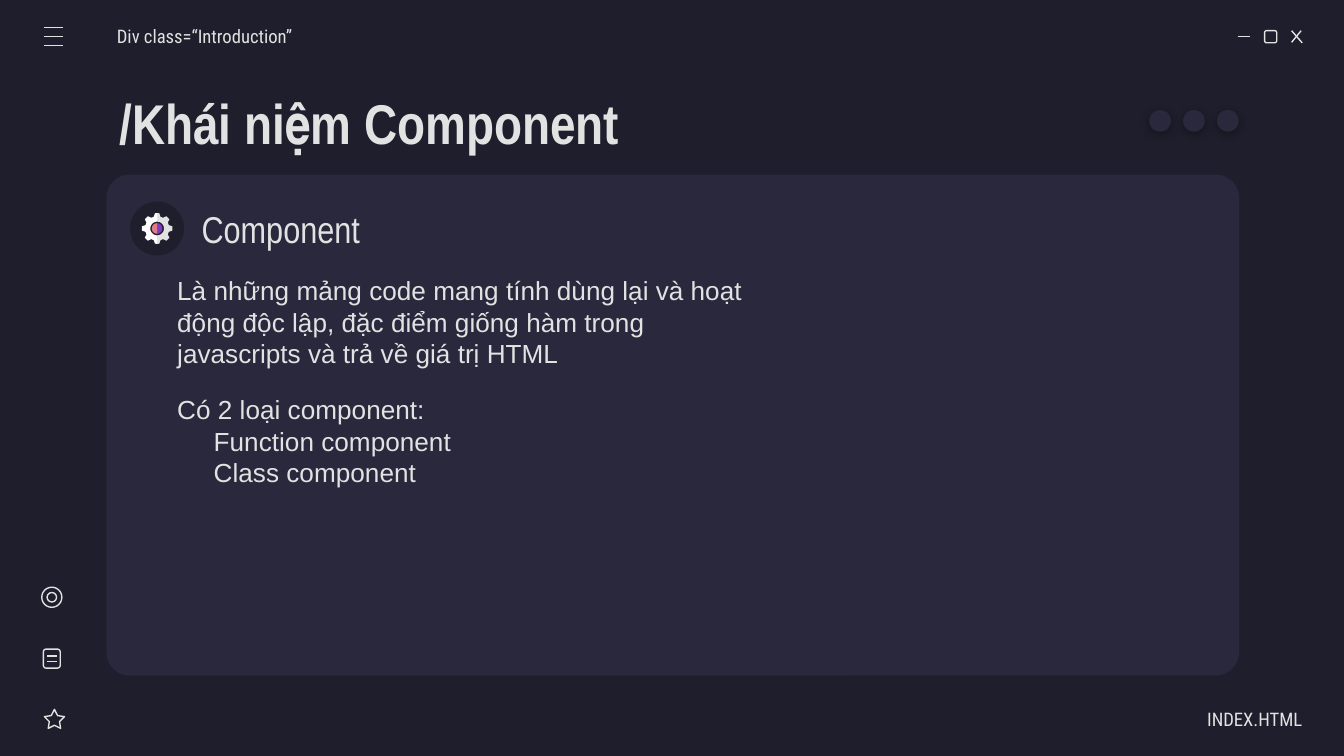
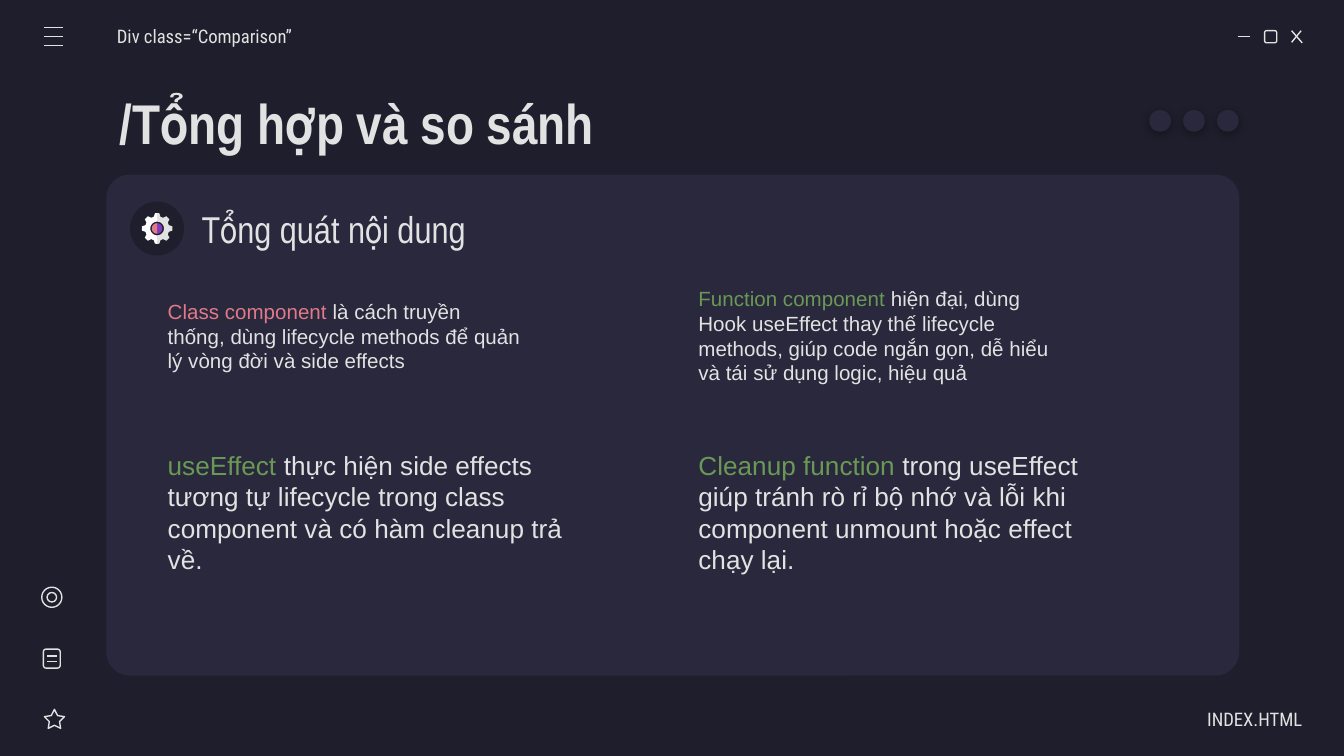
from math import cos, radians, sin

from lxml.etree import SubElement
from pptx import Presentation
from pptx.dml.color import RGBColor
from pptx.enum.shapes import MSO_CONNECTOR, MSO_SHAPE
from pptx.enum.text import MSO_ANCHOR, MSO_AUTO_SIZE, PP_ALIGN
from pptx.oxml.ns import qn
from pptx.util import Cm, Pt

NIGHT, PANEL, LIGHT, WHITE = "1E1E2C", "29283D", "E2E2E2", "FFFFFF"
ROSE, PURPLE, GREEN = "E07A88", "7E3BBE", "6A9955"
BODY, HEADING, CODE = "Arial", "Arial Narrow", "Roboto Condensed"

LEFT, RIGHT = 2.92, 12.95
FOOTER = "INDEX.HTML"
PAGES = [
    {
        "tag": "Div class=“Introduction”",
        "title": "/Khái niệm Component",
        "heading": "Component",
        "texts": [
            {"box": (3.1, 4.04, 11.38, 4.09),
             "lines": ["Là những mảng code mang tính dùng lại và hoạt động độc lập, "
                       "đặc điểm giống hàm trong javascripts và trả về giá trị HTML"]},
            {"box": (3.1, 7.32, 11.38, 2.05),
             "lines": ["Có 2 loại component:", "Function component", "Class component"],
             "indent": 0.69},
        ],
    },
    {
        "tag": "Div class=“Comparison”",
        "title": "/Tổng hợp và so sánh",
        "heading": "Tổng quát nội dung",
        "texts": [
            {"box": (LEFT, 5.51, 7.21, 1.68), "size": 11,
             "lead": "Class component", "lead_color": ROSE,
             "lines": [" là cách truyền thống, dùng lifecycle methods để quản lý "
                       "vòng đời và side effects"]},
            {"box": (RIGHT, 5.28, 7.52, 2.13), "size": 11, "lead": "Function component ",
             "lines": ["hiện đại, dùng Hook useEffect thay thế lifecycle methods, "
                       "giúp code ngắn gọn, dễ hiểu và tái sử dụng logic, hiệu quả"]},
            {"box": (LEFT, 8.36, 8.51, 2.64), "lead": "useEffect ",
             "lines": ["thực hiện side effects tương tự lifecycle trong class component "
                       "và có hàm cleanup trả về."]},
            {"box": (RIGHT, 8.36, 8.51, 2.64), "lead": "Cleanup function ",
             "lines": ["trong useEffect giúp tránh rò rỉ bộ nhớ và lỗi khi component "
                       "unmount hoặc effect chạy lại."]},
        ],
    },
]

ICON_STROKES = [
    (23.39, 0.69, 23.62, 0.69), (24.41, 0.58, 24.61, 0.81), (24.59, 0.58, 24.41, 0.8),
    *[(0.83, y, 1.2, y) for y in (0.52, 0.69, 0.86)],
    *[(0.89, y, 1.07, y) for y in (12.4, 12.5)],
]
ICON_OUTLINES = [
    (MSO_SHAPE.ROUNDED_RECTANGLE, (23.9, 0.58, 0.23, 0.23), None),
    (MSO_SHAPE.STAR_5_POINT, (0.84, 13.41, 0.38, 0.36), 0.254),
    (MSO_SHAPE.ROUNDED_RECTANGLE, (0.82, 12.27, 0.32, 0.36), None),
    (MSO_SHAPE.OVAL, (0.79, 11.1, 0.38, 0.38), None),
    (MSO_SHAPE.OVAL, (0.89, 11.2, 0.18, 0.18), None),
]
DOT_LEFT, DOT_STEP = 21.72, 0.64
GEAR_X, GEAR_Y = 2.97, 4.32
TOOTH, RIM, HOLE, PUPIL = 0.29, 0.23, 0.13, 0.1


def rgb(color):
    """Turn a hex string into a colour."""
    return RGBColor.from_string(color)


def paint(shape, fill=None, line=None):
    """Set fill and outline, and drop the shadow."""
    shape.shadow.inherit = False
    if fill:
        shape.fill.solid()
        shape.fill.fore_color.rgb = rgb(fill)
    else:
        shape.fill.background()
    if line:
        shape.line.color.rgb = rgb(line)
        shape.line.width = Pt(0.75)
    else:
        shape.line.fill.background()


def add_form(slide, kind, box, adjust=None, **colors):
    """Add a preset shape at a box in centimetres."""
    form = slide.shapes.add_shape(kind, *map(Cm, box))
    if adjust is not None:
        form.adjustments[0] = adjust
    paint(form, **colors)
    return form


def add_stroke(slide, ends):
    """Add a thin icon line."""
    stroke = slide.shapes.add_connector(MSO_CONNECTOR.STRAIGHT, *map(Cm, ends))
    stroke.line.color.rgb = rgb(LIGHT)
    stroke.line.width = Pt(0.75)
    SubElement(stroke.element.spPr, qn("a:effectLst"))


def add_text(slide, box, lines, holder=None, size=14, font=BODY, bold=False, lead="",
             lead_color=GREEN, indent=0, align=PP_ALIGN.LEFT, anchor=MSO_ANCHOR.TOP,
             left=0.25, right=0.25):
    """Write lines into a placeholder or a new text box, indenting all but the first."""
    holder = holder or slide.shapes.add_textbox(0, 0, 0, 0)
    holder.left, holder.top, holder.width, holder.height = map(Cm, box)
    frame = holder.text_frame
    frame.word_wrap = True
    frame.auto_size = MSO_AUTO_SIZE.NONE
    frame.vertical_anchor = anchor
    frame.margin_left, frame.margin_right = Cm(left), Cm(right)
    for index, line in enumerate(lines):
        paragraph = frame.add_paragraph() if index else frame.paragraphs[0]
        paragraph.alignment = align
        if index and indent:
            paragraph._p.get_or_add_pPr().set("marL", str(Cm(indent)))
        parts = [(line, LIGHT)]
        if lead and not index:
            parts.insert(0, (lead, lead_color))
        for words, color in parts:
            run = paragraph.add_run()
            run.text = words
            run.font.size, run.font.name, run.font.bold = Pt(size), font, bold
            run.font.color.rgb = rgb(color)


def add_half(slide, side, outline, color):
    """Add one half of a round figure from (angle, radius) pairs."""
    points = [(Cm(GEAR_X + side * r * sin(radians(a))), Cm(GEAR_Y - r * cos(radians(a))))
              for a, r in outline]
    builder = slide.shapes.build_freeform(*points[0])
    builder.add_line_segments(points[1:], close=True)
    paint(builder.convert_to_shape(), fill=color)


def add_gear(slide):
    """Draw the two-tone gear on its dark disc."""
    add_form(slide, MSO_SHAPE.OVAL, (GEAR_X - 0.51, GEAR_Y - 0.51, 1.02, 1.02), fill=NIGHT)
    teeth = [(center + offset, radius) for center in range(0, 181, 45)
             for offset, radius in ((-16, RIM), (-8, TOOTH), (8, TOOTH), (16, RIM))
             if 0 <= center + offset <= 180]
    hole = [(angle, HOLE) for angle in range(180, -1, -15)]
    pupil = [(angle, PUPIL) for angle in range(0, 181, 15)]
    for side, metal, core in ((1, LIGHT, PURPLE), (-1, WHITE, ROSE)):
        add_half(slide, side, [(0, TOOTH), *teeth, (180, TOOTH), *hole], metal)
        add_half(slide, side, pupil, core)


def add_dot(slide, left):
    """Add a dot with a soft shadow below it."""
    dot = add_form(slide, MSO_SHAPE.OVAL, (left, 2.08, 0.41, 0.41), fill=PANEL)
    effects = dot.element.spPr.find(qn("a:effectLst"))
    shadow = SubElement(effects, qn("a:outerShdw"), blurRad=str(Pt(4.5)),
                        dist=str(Pt(1.5)), dir="5400000", algn="bl", rotWithShape="0")
    tint = SubElement(shadow, qn("a:srgbClr"), val="000000")
    SubElement(tint, qn("a:alpha"), val="30000")


def add_window(slide):
    """Draw the panel, icons, dots and footer that every slide has."""
    add_form(slide, MSO_SHAPE.ROUNDED_RECTANGLE, (2.01, 3.3, 21.41, 9.47), 0.047, fill=PANEL)
    for ends in ICON_STROKES:
        add_stroke(slide, ends)
    for kind, box, adjust in ICON_OUTLINES:
        add_form(slide, kind, box, adjust, line=LIGHT)
    for index in range(3):
        add_dot(slide, DOT_LEFT + index * DOT_STEP)
    add_gear(slide)
    add_text(slide, (21.64, 13.21, 2.97, 0.76), [FOOTER], size=10, font=CODE,
             align=PP_ALIGN.RIGHT, anchor=MSO_ANCHOR.MIDDLE, right=0)


def add_page(deck, page):
    """Build one slide from its content."""
    slide = deck.slides.add_slide(deck.slide_layouts[5])
    add_window(slide)
    middle = MSO_ANCHOR.MIDDLE
    add_text(slide, (2.01, 1.5, 21.41, 1.6), [page["title"]], holder=slide.shapes.title,
             size=30, font=HEADING, bold=True, anchor=middle)
    add_text(slide, (2.21, 0.3, 4.11, 0.76), [page["tag"]], size=10, font=CODE,
             anchor=middle, left=0)
    add_text(slide, (3.56, 3.68, 9.53, 1.3), [page["heading"]], size=20, font=HEADING,
             anchor=middle)
    for text in page["texts"]:
        add_text(slide, anchor=MSO_ANCHOR.TOP if "indent" in text else middle, **text)


def main():
    """Build and save the deck."""
    deck = Presentation()
    deck.slide_width, deck.slide_height = Cm(25.4), Cm(14.29)
    backdrop = deck.slide_master.background.fill
    backdrop.solid()
    backdrop.fore_color.rgb = rgb(NIGHT)
    for page in PAGES:
        add_page(deck, page)
    deck.save("out.pptx")


if __name__ == "__main__":
    main()
